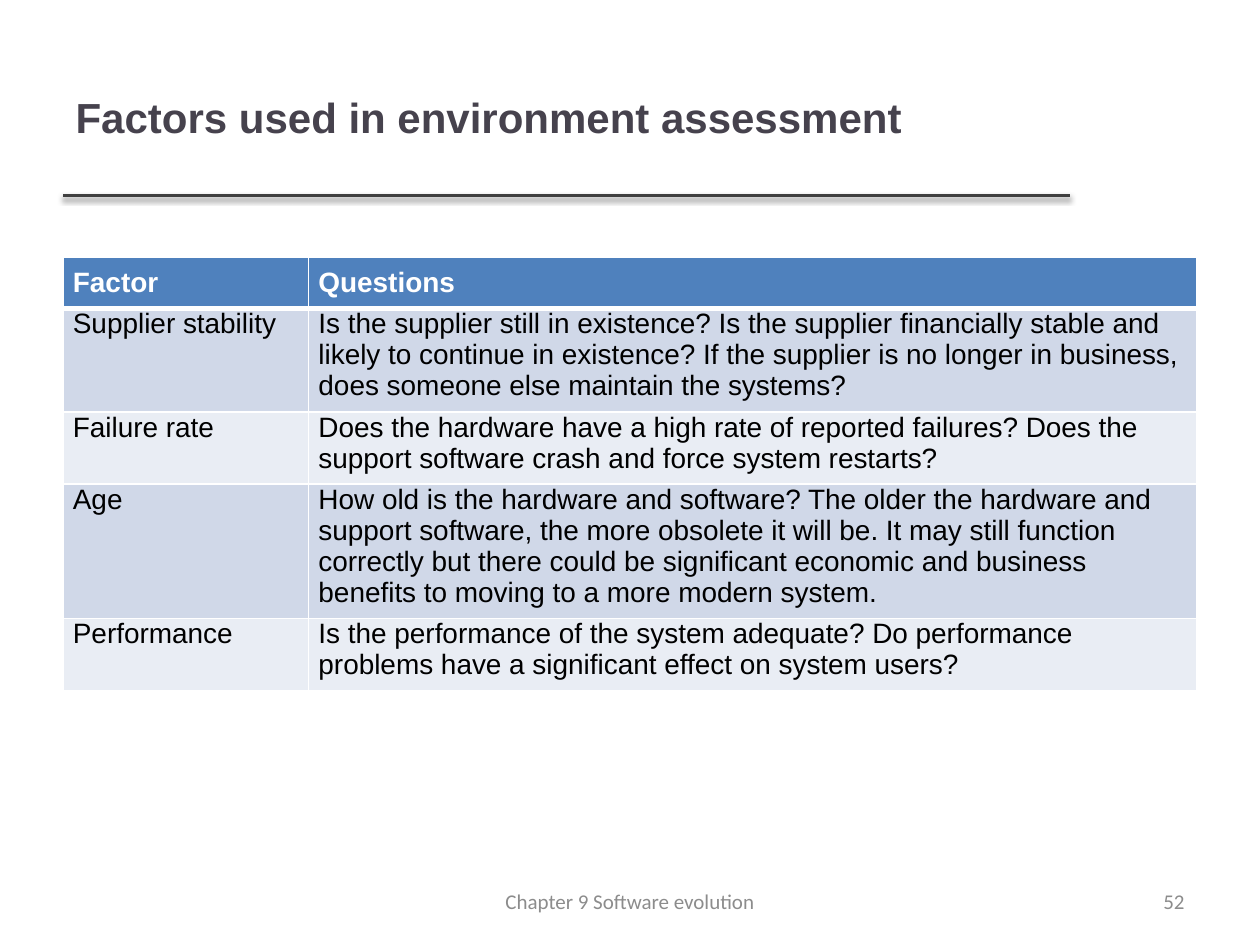
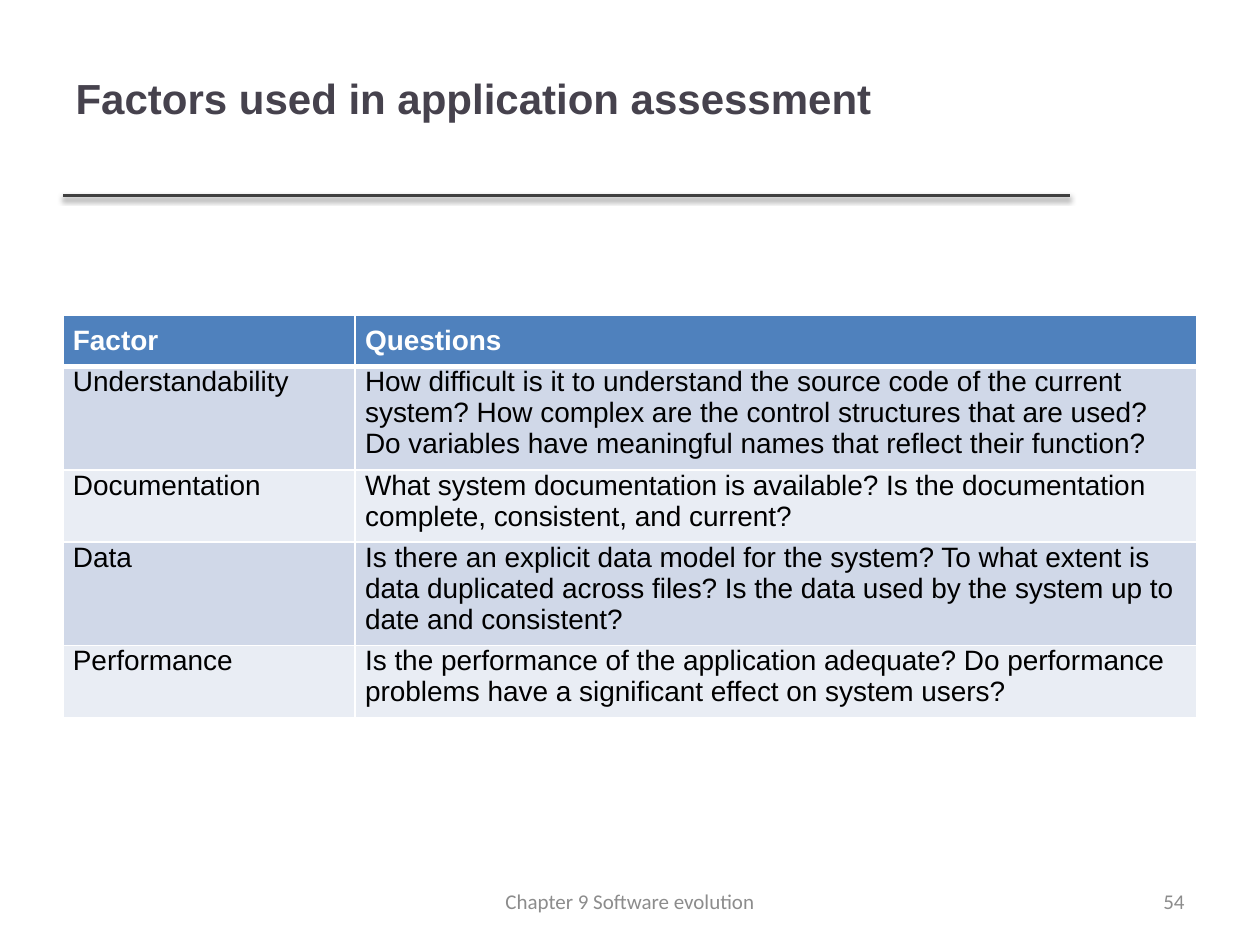
from lxml import etree
from pptx import Presentation
from pptx import util as u
from pptx.dml.color import RGBColor
from pptx.enum import shapes, text
from pptx.oxml import parse_xml
from pptx.oxml.ns import nsdecls, qn

INK, RULE, MUTED = "46424D", "404040", "8C8C8C"
BLACK, WHITE = "000000", "FFFFFF"
HEADER, BANDS = "4F81BD", ("D0D8E8", "E9EDF4")
BODY_FONT, FOOTER_FONT = "Arial", "Calibri"
LEFT, WIDTH = 1.27, 22.86
RULE_TOP, RULE_WIDTH = 3.94, 20.29
FOOTER_TOP, FOOTER_HEIGHT = 17.65, 1.02
ROW_HEIGHT, INSET = 1.03, 0.2
CHAPTER = "Chapter 9 Software evolution"

ENVIRONMENT = [
    ("Supplier stability", "Is the supplier still in existence? Is the supplier financially stable and "
     "likely to continue in existence? If the supplier is no longer in business, "
     "does someone else maintain the systems? "),
    ("Failure rate", "Does the hardware have a high rate of reported failures? Does the "
     "support software crash and force system restarts? "),
    ("Age", "How old is the hardware and software? The older the hardware and "
     "support software, the more obsolete it will be. It may still function "
     "correctly but there could be significant economic and business "
     "benefits to moving to a more modern system."),
    ("Performance", "Is the performance of the system adequate? Do performance "
     "problems have a significant effect on system users?"),
]
APPLICATION = [
    ("Understandability", "How difficult is it to understand the source code of the current "
     "system? How complex are the control structures that are used? "
     "Do variables have meaningful names that reflect their function?"),
    ("Documentation", "What system documentation is available? Is the documentation "
     "complete, consistent, and current?"),
    ("Data", "Is there an explicit data model for the system? To what extent is "
     "data duplicated across files? Is the data used by the system up to "
     "date and consistent?"),
    ("Performance", "Is the performance of the application adequate? Do performance "
     "problems have a significant effect on system users?"),
]


def color(value):
    """Turn a hex string into a colour."""
    return RGBColor.from_string(value)


def write(frame, wording, size, font, ink, bold=False, align=text.PP_ALIGN.LEFT):
    """Write one formatted run into a text frame and return its paragraph."""
    paragraph = frame.paragraphs[0]
    paragraph.alignment = align
    run = paragraph.add_run()
    run.text = wording
    run.font.size, run.font.name, run.font.bold = u.Pt(size), font, bold
    run.font.color.rgb = color(ink)
    return paragraph


def place(shape, box):
    """Move a shape to a box of left, top, width and height in centimetres."""
    shape.left, shape.top, shape.width, shape.height = map(u.Cm, box)


def add_heading(slide, wording, box):
    """Fill the title placeholder."""
    title = slide.shapes.title
    place(title, box)
    title.text_frame.auto_size = text.MSO_AUTO_SIZE.NONE
    title.text_frame.vertical_anchor = text.MSO_ANCHOR.MIDDLE
    write(title.text_frame, wording, 24, BODY_FONT, INK, bold=True)


def add_rule(slide, left, top, width):
    """Draw the softly shadowed rule below the title."""
    rule = slide.shapes.add_connector(
        shapes.MSO_CONNECTOR.STRAIGHT, *map(u.Cm, (left, top, left + width, top)))
    rule.line.color.rgb = color(RULE)
    rule.line.width = u.Pt(2)
    rule.element.spPr.append(parse_xml(
        f'<a:effectLst {nsdecls("a")}><a:outerShdw blurRad="{u.Pt(3.1)}" dist="{u.Pt(1.6)}" '
        f'dir="5400000" rotWithShape="0"><a:srgbClr val="{BLACK}"><a:alpha val="38000"/>'
        '</a:srgbClr></a:outerShdw></a:effectLst>'))


def add_borders(cell, top, bottom):
    """Give a cell white borders, with the top and bottom widths in points."""
    properties = cell._tc.get_or_add_tcPr()
    for side, width in (("L", 1), ("R", 1), ("T", top), ("B", bottom)):
        border = etree.SubElement(properties, qn(f"a:ln{side}"), w=str(u.Pt(width)))
        fill = etree.SubElement(border, qn("a:solidFill"))
        etree.SubElement(fill, qn("a:srgbClr"), val=WHITE)


def add_factors(slide, factors, box, factor_width):
    """Build the banded table of factors and questions."""
    rows = [("Factor", "Questions"), *factors]
    frame = slide.shapes.add_table(len(rows), 2, *map(u.Cm, box))
    table = frame.table
    for column, width in zip(table.columns, (factor_width, box[2] - factor_width)):
        column.width = u.Cm(width)
    for index, row in enumerate(rows):
        is_header = index == 0
        table.rows[index].height = u.Cm(ROW_HEIGHT)
        for cell, wording in zip(table.rows[index].cells, row):
            add_borders(cell, 3 if index == 1 else 1, 3 if is_header else 1)
            cell.fill.solid()
            cell.fill.fore_color.rgb = color(HEADER if is_header else BANDS[(index - 1) % 2])
            cell.margin_left = cell.margin_right = cell.margin_bottom = u.Cm(INSET)
            cell.margin_top = u.Cm(INSET if is_header else 0)
            paragraph = write(cell.text_frame, wording, 16, BODY_FONT,
                              WHITE if is_header else BLACK, bold=is_header)
            paragraph.space_after = u.Pt(6)
    frame.height = u.Cm(box[3])


def add_footer(slide, number, top, height):
    """Place the chapter name and the slide number at the foot."""
    for wording, left, width, align in (
            (str(number), 18.2, 5.93, text.PP_ALIGN.RIGHT),
            (CHAPTER, 8.68, 8.04, text.PP_ALIGN.CENTER)):
        note = slide.shapes.add_textbox(*map(u.Cm, (left, top, width, height)))
        note.text_frame.word_wrap = True
        note.text_frame.vertical_anchor = text.MSO_ANCHOR.MIDDLE
        write(note.text_frame, wording, 12, FOOTER_FONT, MUTED, align=align)


def add_assessment(deck, number, heading, heading_box, factors, table_box, factor_width):
    """Add one assessment slide."""
    slide = deck.slides.add_slide(deck.slide_layouts.get_by_name("Title Only"))
    add_rule(slide, LEFT, RULE_TOP, RULE_WIDTH)
    add_heading(slide, heading, heading_box)
    add_factors(slide, factors, table_box, factor_width)
    add_footer(slide, number, FOOTER_TOP, FOOTER_HEIGHT)


deck = Presentation()
deck.slide_width, deck.slide_height = u.Cm(25.4), u.Cm(19.05)
add_assessment(deck, 52, "Factors used in environment assessment ", (LEFT, 0.76, 20.28, 3.18),
               ENVIRONMENT, (LEFT, 5.19, WIDTH, 9.35), 4.95)
add_assessment(deck, 54, "Factors used in application assessment ", (LEFT, 0.38, WIDTH, 3.18),
               APPLICATION, (LEFT, 6.36, WIDTH, 8.66), 5.89)
deck.save("out.pptx")
